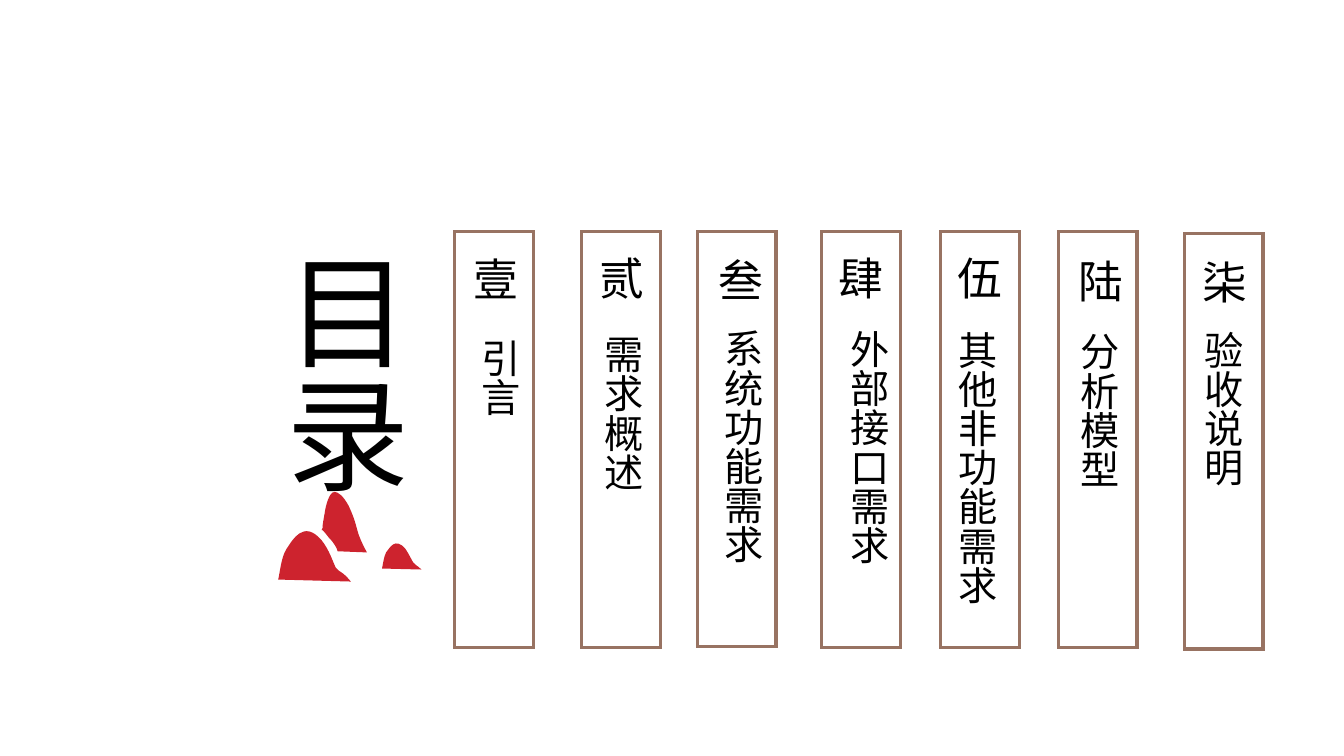
from dataclasses import dataclass

from pptx import Presentation
from pptx.dml.color import RGBColor
from pptx.enum.shapes import MSO_SHAPE
from pptx.enum.text import MSO_ANCHOR, MSO_AUTO_SIZE, PP_ALIGN
from pptx.oxml.ns import qn
from pptx.shapes.autoshape import Shape
from pptx.shapes.group import GroupShape
from pptx.slide import Slide
from pptx.util import Pt

COLORS = {"ink": "000000", "frame": "987362", "hill": "CD232E"}
FONT = "Noto Sans CJK SC"
PANEL_WIDTH, PANEL_HEIGHT = 56.16, 296.64

Point = tuple[float, float]
Area = tuple[float, float, float, float]


@dataclass(frozen=True)
class Chapter:
    numeral: str
    label: str
    panel: Point
    numeral_area: Area
    label_area: Area
    centred: bool = False


@dataclass(frozen=True)
class Hill:
    start: Point
    segments: tuple[tuple[Point, ...], ...]


CHAPTERS = (
    Chapter("壹", "引言", (324.7, 165.6), (331.2, 176.4, 27.4, 46.1), (329, 235, 48.2, 263)),
    Chapter("贰", "需求概述", (415.4, 165.6), (421.2, 175.5, 27.4, 46.1), (416.9, 232.5, 48.2, 263)),
    Chapter("叁", "系统功能需求", (498.2, 165.2), (506.2, 177.1, 27.4, 46.1), (502.6, 228.3, 48.2, 263)),
    Chapter("肆", "外部接口需求", (586.8, 165.6), (591.8, 175.5, 27.4, 46.1), (592.4, 228.8, 48.2, 274)),
    Chapter("伍", "其他非功能需求", (671.8, 165.6), (676.8, 168.5, 41, 51.8), (673.2, 229.3, 55.4, 272.9), True),
    Chapter("陆", "分析模型", (756, 165.6), (763.2, 170.6, 42.5, 51.8), (760.4, 230.4, 55.4, 179.3), True),
    Chapter("柒", "验收说明", (846, 167), (852, 171.2, 38.2, 51.8), (849, 229.2, 55.4, 194.4), True),
)

HILLS = (
    Hill((272.9, 406.1), (
        ((273.6, 402.5), (274.3, 397.4), (275.8, 394.6)),
        ((278.6, 391), (282.2, 383.8), (289.4, 391.7)),
        ((292.3, 396), (293.8, 399.6), (295.2, 401.8)),
        ((296.6, 403.9), (297.4, 403.2), (301, 406.8)),
    )),
    Hill((239, 351.4), (
        ((241.2, 351.4), (244.8, 353.5), (249.1, 361.4)),
        ((257, 378.7), (252.7, 377.3), (262.1, 394.6)),
        ((241.2, 393.8),),
        ((240.5, 391.7),),
        ((239, 388.8), (236.9, 385.9), (234.7, 383.8)),
        ((233.3, 381.6), (231.8, 380.2), (230.4, 378.7)),
        ((229.7, 378.7),),
        ((230.4, 377.3),),
        ((230.4, 374.4), (231.1, 371.5), (231.8, 367.2)),
        ((232.8, 360), (235.4, 351.4), (239, 351.4)),
    )),
    Hill((198.7, 414), (
        ((200.2, 407.5), (200.9, 398.2), (204.5, 392.4)),
        ((208.8, 385.9), (216.7, 370.8), (229.7, 385.9)),
        ((235.4, 393.1), (237.6, 401), (239.8, 405.4)),
        ((243.4, 409.7), (244.1, 407.5), (250.6, 415.4)),
    )),
)


def write_text(box: Shape, text: str, *, size: float, vertical: bool = False,
               centred: bool = False) -> None:
    frame = box.text_frame
    frame.word_wrap = True
    frame.auto_size = MSO_AUTO_SIZE.SHAPE_TO_FIT_TEXT
    frame.vertical_anchor = MSO_ANCHOR.MIDDLE if centred else MSO_ANCHOR.TOP
    if vertical:
        frame._txBody.bodyPr.set("vert", "eaVert")
    para = frame.paragraphs[0]
    para.alignment = PP_ALIGN.LEFT
    para.line_spacing = 1.2 if centred else 1.0
    span = para.add_run()
    span.text = text
    span.font.size = Pt(size)
    span.font.name = FONT
    span.font.color.rgb = RGBColor.from_string(COLORS["ink"])
    east_asian = span._r.get_or_add_rPr().makeelement(qn("a:ea"), {"typeface": FONT})
    span.font._element.find(qn("a:latin")).addnext(east_asian)


def add_text(page: Slide, area: Area, text: str, *, size: float, vertical: bool = False,
             centred: bool = False) -> None:
    box = page.shapes.add_textbox(*map(Pt, area))
    write_text(box, text, size=size, vertical=vertical, centred=centred)


def add_title(page: Slide, text: str) -> None:
    title = page.shapes.title
    title.left, title.top, title.width, title.height = map(Pt, (184.3, 175, 121, 194.4))
    write_text(title, text, size=88, vertical=True)


def add_chapter(page: Slide, chapter: Chapter) -> None:
    panel = page.shapes.add_shape(
        MSO_SHAPE.RECTANGLE, *map(Pt, (*chapter.panel, PANEL_WIDTH, PANEL_HEIGHT)))
    panel.shadow.inherit = False
    panel.fill.background()
    panel.line.color.rgb = RGBColor.from_string(COLORS["frame"])
    panel.line.width = Pt(2.25)
    outline = panel.line._get_or_add_ln()
    outline.append(outline.makeelement(qn("a:miter"), {"lim": "800000"}))
    add_text(page, chapter.numeral_area, chapter.numeral, size=32, centred=chapter.centred)
    add_text(page, chapter.label_area, chapter.label, size=28, vertical=True,
             centred=chapter.centred)


def bend_segments(shape: Shape, hill: Hill) -> None:
    lines = iter(list(shape._element.iter(qn("a:lnTo"))))
    for segment in hill.segments:
        steps = [next(lines) for _ in segment]
        if len(steps) == 3:
            curve = steps[0].makeelement(qn("a:cubicBezTo"), {})
            steps[0].addprevious(curve)
            for step in steps:
                curve.append(step[0])
                step.getparent().remove(step)


def add_hill(group: GroupShape, hill: Hill) -> None:
    corners = [corner for segment in hill.segments for corner in segment]
    vertices = [(Pt(x), Pt(y)) for x, y in (hill.start, *corners)]
    builder = group.shapes.build_freeform(*vertices[0])
    builder.add_line_segments(vertices[1:], close=False)
    shape = builder.convert_to_shape()
    bend_segments(shape, hill)
    outline = next(shape._element.iter(qn("a:path")))
    outline.append(outline.makeelement(qn("a:close"), {}))
    shape.shadow.inherit = False
    shape.fill.solid()
    shape.fill.fore_color.rgb = RGBColor.from_string(COLORS["hill"])
    shape.line.fill.background()


def main() -> None:
    deck = Presentation()
    deck.slide_width, deck.slide_height = Pt(960), Pt(540)
    page = deck.slides.add_slide(deck.slide_layouts.get_by_name("Title Only"))
    add_title(page, "目录")
    for chapter in CHAPTERS:
        add_chapter(page, chapter)
    hills = page.shapes.add_group_shape()
    for hill in HILLS:
        add_hill(hills, hill)
    deck.save("out.pptx")


if __name__ == "__main__":
    main()
